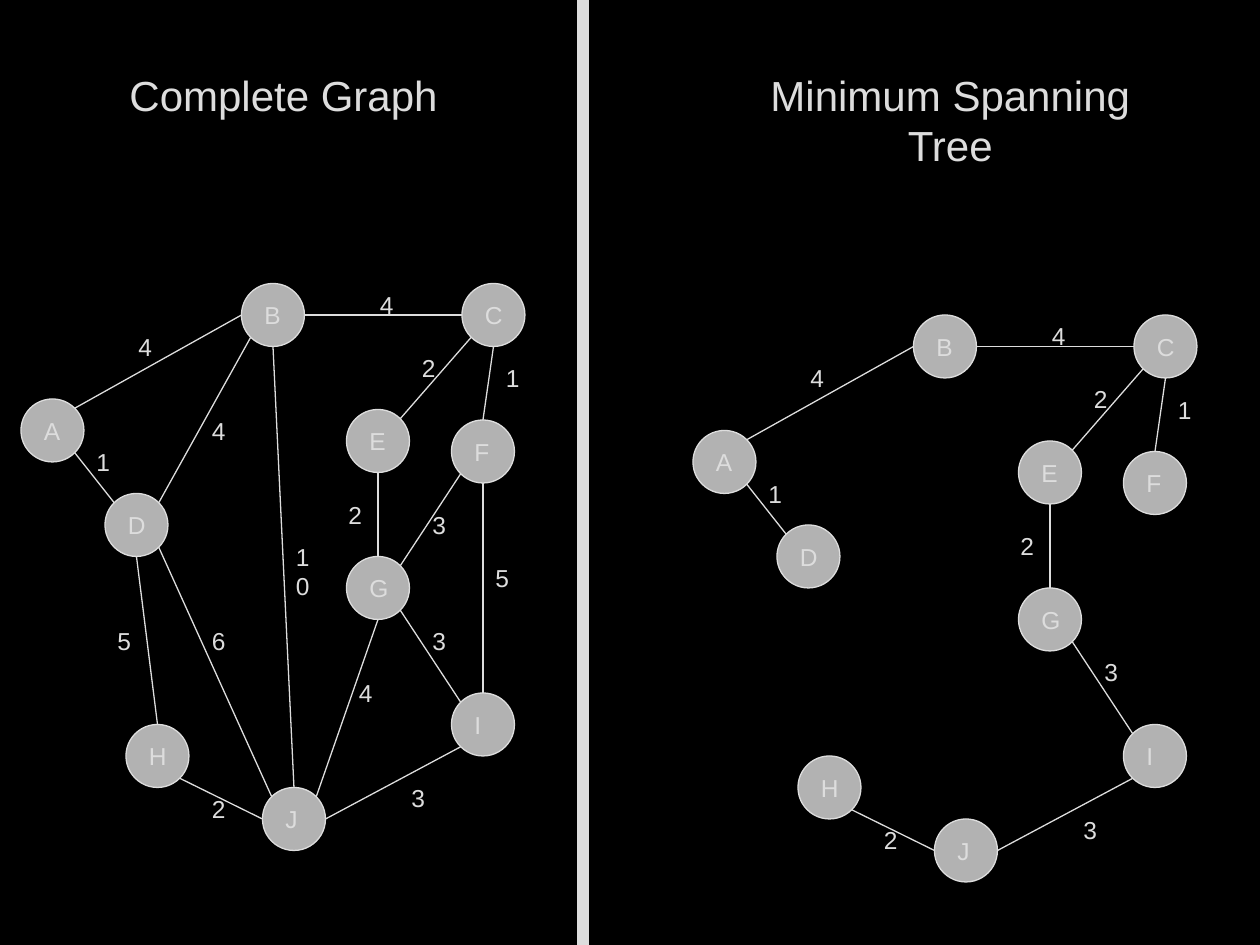
from lxml import etree
from pptx import Presentation
from pptx.dml.color import RGBColor
from pptx.enum.shapes import MSO_CONNECTOR, MSO_SHAPE
from pptx.enum.text import MSO_ANCHOR, MSO_AUTO_SIZE, PP_ALIGN
from pptx.oxml.ns import qn
from pptx.util import Inches, Pt

RECT, OVAL = MSO_SHAPE.RECTANGLE, MSO_SHAPE.OVAL
STRAIGHT = MSO_CONNECTOR.STRAIGHT
TOP, GROW = MSO_ANCHOR.TOP, MSO_AUTO_SIZE.SHAPE_TO_FIT_TEXT
LEFT, CENTER = PP_ALIGN.LEFT, PP_ALIGN.CENTER

COLORS = {"back": "000000", "light": "DDDDDD", "node": "B2B2B2"}
COLS, ROWS = 120, 90  # twelve cells to the inch
NODE = 6              # node diameter in cells
DIAG = 0.5 ** 0.5

# Compass points on a node's rim
RIM = {"n": (0, -1), "s": (0, 1), "w": (-1, 0), "e": (1, 0),
       "nw": (-DIAG, -DIAG), "ne": (DIAG, -DIAG),
       "sw": (-DIAG, DIAG), "se": (DIAG, DIAG)}

# Top left cell of each node
NODES = {"A": (2, 38), "B": (23, 27), "C": (44, 27), "D": (10, 47),
         "E": (33, 39), "F": (43, 40), "G": (33, 53), "H": (12, 69),
         "I": (43, 66), "J": (25, 75)}
LABEL_WIDTH = {"I": 3.24, "J": 3.36, "10": 4.8}

# Node and rim point at both ends, weight, label cell
TREE = [("A", "ne", "B", "w", 4, (12, 31)),
        ("B", "e", "C", "w", 4, (35, 27)),
        ("A", "se", "D", "nw", 1, (8, 42)),
        ("C", "sw", "E", "ne", 2, (39, 33)),
        ("C", "s", "F", "n", 1, (47, 34)),
        ("E", "s", "G", "n", 2, (32, 47)),
        ("G", "se", "I", "nw", 3, (40, 59)),
        ("J", "e", "I", "sw", 3, (38, 74)),
        ("J", "w", "H", "se", 2, (19, 75))]
EXTRA = [("B", "sw", "D", "ne", 4, (19, 39)),
         ("B", "s", "J", "n", 10, (27, 51)),
         ("F", "sw", "G", "ne", 3, (40, 48)),
         ("F", "s", "I", "n", 5, (46, 53)),
         ("J", "ne", "G", "s", 4, (33, 64)),
         ("D", "s", "H", "n", 5, (10, 59)),
         ("D", "se", "J", "nw", 6, (19, 59))]


def color(name):
    return RGBColor.from_string(COLORS[name])


def cells(*values):
    return [Inches(v / 12) for v in values]


class Deck:
    font = "Arial"
    line_width = Pt(0.75)

    def __init__(self, prs):
        self.slide = prs.slides.add_slide(prs.slide_layouts[0])
        fill = self.slide.background.fill
        fill.solid()
        fill.fore_color.rgb = color("back")

    def outline(self, sp):
        sp.line.color.rgb = color("light")
        sp.line.width = self.line_width

    def shape(self, kind, fill, *box):
        sp = self.slide.shapes.add_shape(kind, *cells(*box))
        sp.shadow.inherit = False
        sp.fill.solid()
        sp.fill.fore_color.rgb = color(fill)
        self.outline(sp)

    def set_text(self, sp, text, size, align):
        tf = sp.text_frame
        tf.text = text
        tf.word_wrap = True
        tf.auto_size = GROW
        tf.vertical_anchor = TOP
        p = tf.paragraphs[0]
        p.alignment = align
        p.space_before = Pt(0)
        font = p.runs[0].font
        font.name, font.size = self.font, Pt(size)
        font.color.rgb = color("light")

    def heading(self, index, text, *box):
        sp = self.slide.placeholders[index]
        sp.left, sp.top, sp.width, sp.height = cells(*box)
        self.set_text(sp, text, 24, CENTER)

    def label(self, text, x, y):
        width = LABEL_WIDTH.get(text, 4 if text.isalpha() else 3.6)
        sp = self.slide.shapes.add_textbox(*cells(x, y, width, 4))
        self.set_text(sp, text, 14, LEFT)

    def line(self, start, end):
        sp = self.slide.shapes.add_connector(STRAIGHT, *cells(*start, *end))
        self.outline(sp)
        etree.SubElement(sp._element.spPr, qn("a:effectLst"))

    def graph(self, edges, dx=0, dy=0):
        def rim(name, side):
            r = NODE / 2
            return [pos + shift + r + r * step for pos, shift, step
                    in zip(NODES[name], (dx, dy), RIM[side])]

        for x, y in NODES.values():
            self.shape(OVAL, "node", x + dx, y + dy, NODE, NODE)
        for a, a_side, b, b_side, weight, (x, y) in edges:
            self.line(rim(a, a_side), rim(b, b_side))
            self.label(str(weight), x + dx, y + dy)
        for name, (x, y) in NODES.items():
            self.label(name, x + dx + 1, y + dy + 1)


def main():
    prs = Presentation()
    prs.slide_width, prs.slide_height = cells(COLS, ROWS)
    deck = Deck(prs)

    # Headings and divider
    deck.heading(0, "Complete Graph", 4, 6, 46, 6)
    deck.heading(1, "Minimum Spanning Tree", 69, 6, 43, 6)
    deck.shape(RECT, "light", 55, 0, 1, ROWS)

    # Full graph on the left, its tree on the right
    deck.graph(TREE + EXTRA)
    deck.graph(TREE, dx=64, dy=3)

    prs.save("out.pptx")


if __name__ == "__main__":
    main()
